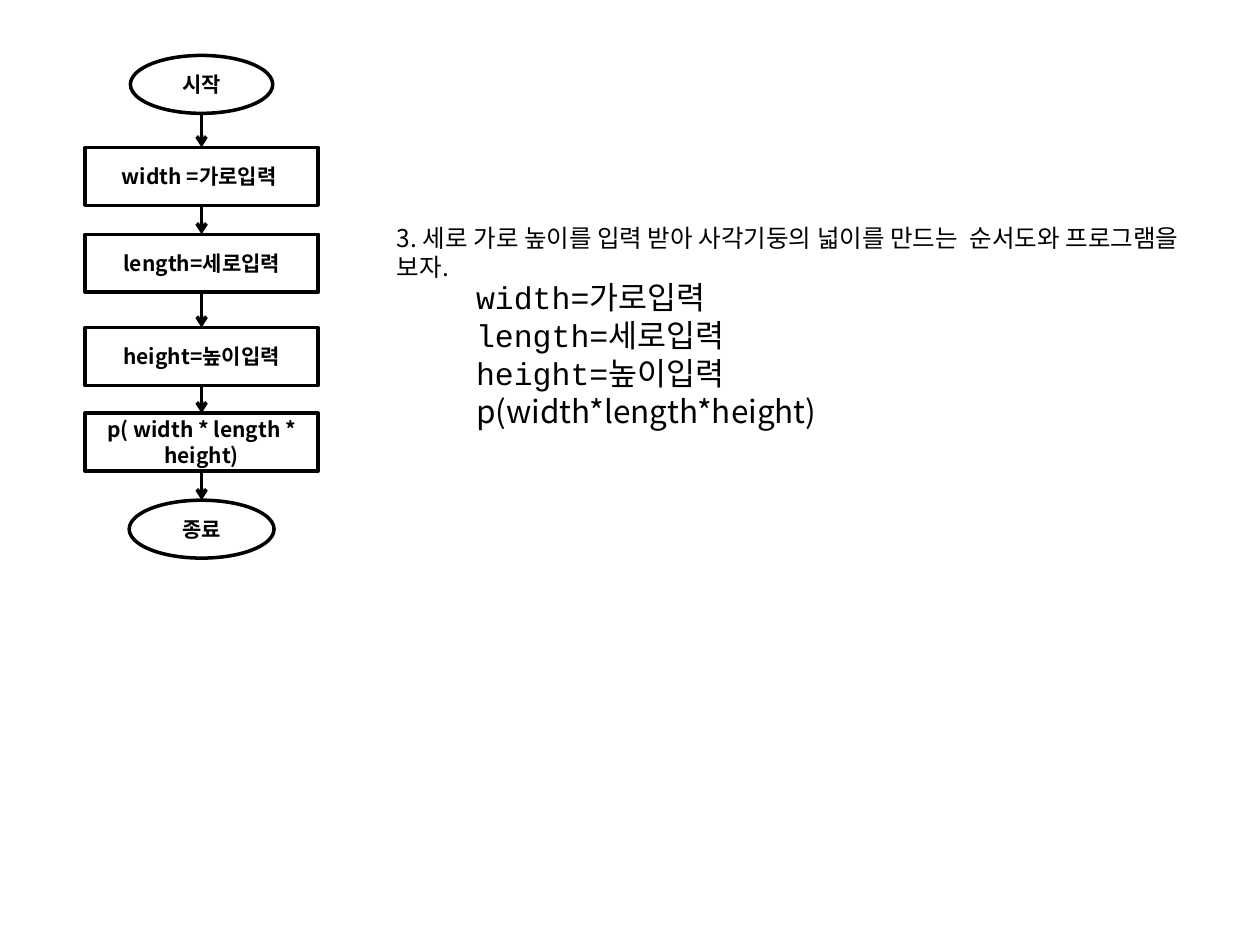
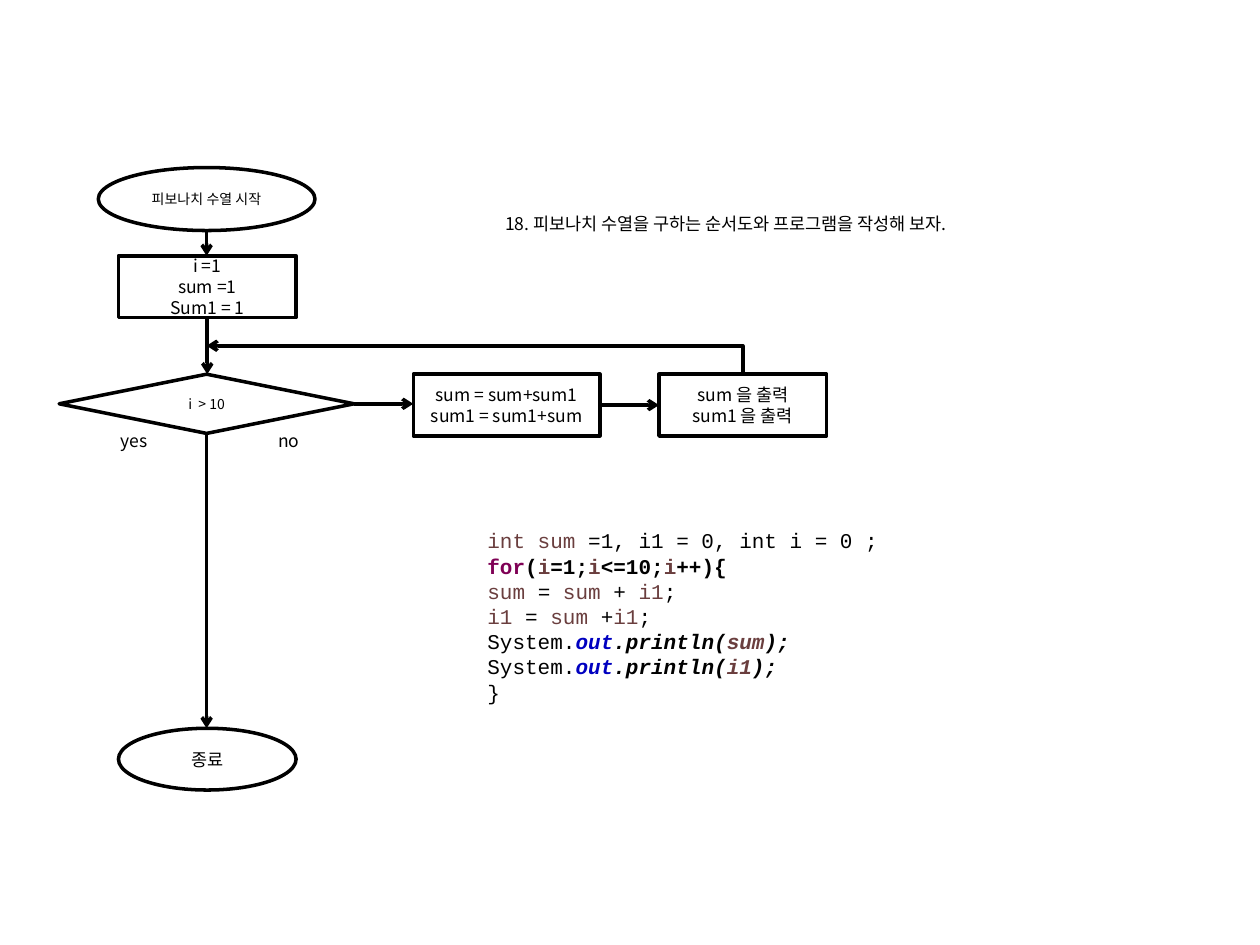
import pptx
import pptx.util
import pptx.dml.color
import pptx.enum.shapes
import pptx.enum.text
import pptx.oxml
import pptx.oxml.ns

Inches, Pt = pptx.util.Inches, pptx.util.Pt
RGB = pptx.dml.color.RGBColor
SHAPE = pptx.enum.shapes.MSO_SHAPE
CONNECTOR = pptx.enum.shapes.MSO_CONNECTOR
ALIGN = pptx.enum.text.PP_ALIGN
ANCHOR = pptx.enum.text.MSO_ANCHOR
qn = pptx.oxml.ns.qn

BLACK = RGB(0x00, 0x00, 0x00)
BROWN = RGB(0x6A, 0x3E, 0x3E)
PURPLE = RGB(0x7F, 0x00, 0x55)
BLUE = RGB(0x00, 0x00, 0xC0)
SANS, MONO = "Noto Sans CJK KR", "Courier New"
LINE = Pt(2)
TITLE_ONLY = 5

# Code styles: colour, bold, italic
PLAIN, VAR = (BLACK, False, False), (BROWN, False, False)
BOLD, BOLD_VAR = (BLACK, True, False), (BROWN, True, False)
KEYWORD, FIELD = (PURPLE, True, False), (BLUE, True, True)
CALL, ARG = (BLACK, True, True), (BROWN, True, True)

# Volume slide: a single column of steps
VOLUME_TITLE = "3. 세로 가로 높이를 입력 받아 사각기둥의 넓이를 만드는\u00a0 순서도와 프로그램을 보자."
STEP_CENTRE, STEP_HEIGHT = 1.6, 0.46
VOLUME_STEPS = [  # shape, width, top, text
    (SHAPE.OVAL, 1.13, 0.44, "시작"),
    (SHAPE.FLOWCHART_PROCESS, 1.85, 1.17, "width =가로입력 "),
    (SHAPE.FLOWCHART_PROCESS, 1.85, 1.86, "length=세로입력"),
    (SHAPE.FLOWCHART_PROCESS, 1.85, 2.6, "height=높이입력"),
    (SHAPE.FLOWCHART_PROCESS, 1.85, 3.28, "p( width * length * height)"),
    (SHAPE.OVAL, 1.15, 3.97, "종료"),
]
VOLUME_CODE = [
    ("width=가로입력", MONO),
    ("length=세로입력", MONO),
    ("height=높이입력", MONO),
    ("p(width*length*height)", SANS),
]

# Fibonacci slide: a main column with a loop to the right
FIB_TITLE = "18. 피보나치 수열을 구하는 순서도와 프로그램을 작성해 보자."
FIB_NODES = {  # shape, left, top, width, height, size, text
    "start": (SHAPE.OVAL, 0.78, 1.33, 1.72, 0.5, 8, "피보나치 수열 시작"),
    "init": (SHAPE.FLOWCHART_PROCESS, 0.94, 2.03, 1.41, 0.49, 10,
             "i =1\nsum =1\nSum1 = 1"),
    "test": (SHAPE.FLOWCHART_DECISION, 0.47, 2.97, 2.34, 0.47, 8, "i  > 10"),
    "add": (SHAPE.FLOWCHART_PROCESS, 3.28, 2.97, 1.48, 0.49, 10,
            "sum = sum+sum1\nsum1 = sum1+sum"),
    "print": (SHAPE.FLOWCHART_PROCESS, 5.23, 2.97, 1.33, 0.49, 10,
              "sum 을 출력\nsum1 을 출력"),
    "end": (SHAPE.OVAL, 0.94, 5.78, 1.41, 0.49, 10, "종료"),
}
FIB_DOWN = [("start", "init"), ("init", "test"), ("test", "end")]
FIB_RIGHT = [("test", "add"), ("add", "print")]
BRANCHES = [("yes", 0.86), ("no", 2.11)]
FIB_CODE = [
    [("int sum", VAR), (" =1, i1 = 0, int i = 0 ;", PLAIN)],
    [("for", KEYWORD), ("(", BOLD), ("i", BOLD_VAR), ("=1;", BOLD),
     ("i", BOLD_VAR), ("<=10;", BOLD), ("i", BOLD_VAR), ("++){", BOLD)],
    [("sum", VAR), (" = ", PLAIN), ("sum", VAR), (" + ", PLAIN),
     ("i1", VAR), (";", PLAIN)],
    [("i1", VAR), (" = ", PLAIN), ("sum", VAR), (" +", PLAIN),
     ("i1", VAR), (";", PLAIN)],
    *[[("System.", PLAIN), ("out", FIELD), (".println(", CALL),
       (name, ARG), (");", CALL)] for name in ("sum", "i1")],
    [("}", PLAIN)],
]


def style_run(r, size, font=SANS, style=PLAIN):
    """Set size, colour, weight and the Latin and Korean fonts of a run."""
    r.font.size, r.font.name = Pt(size), font
    r.font.color.rgb, r.font.bold, r.font.italic = style
    ea = pptx.oxml.parse_xml(
        f'<a:ea {pptx.oxml.ns.nsdecls("a")} typeface="{SANS}"/>')
    r.font._element.find(qn("a:latin")).addnext(ea)


def fill_text(tf, lines, size, align=ALIGN.LEFT):
    """Write lines, each a list of (text, font, style) runs."""
    tf.word_wrap = True
    for i, line in enumerate(lines):
        p = tf.add_paragraph() if i else tf.paragraphs[0]
        p.alignment = align
        for text, font, style in line:
            r = p.add_run()
            r.text = text
            style_run(r, size, font, style)


def add_text(s, box, lines, size):
    """Add a wrapping text box."""
    tb = s.shapes.add_textbox(*map(Inches, box))
    fill_text(tb.text_frame, lines, size)


def add_slide(prs, title, box, size):
    """Add a slide whose title placeholder holds the exercise."""
    s = prs.slides.add_slide(prs.slide_layouts[TITLE_ONLY])
    sp = s.shapes.title
    sp.left, sp.top, sp.width, sp.height = map(Inches, box)
    tf = sp.text_frame
    tf.auto_size = pptx.enum.text.MSO_AUTO_SIZE.NONE
    tf.vertical_anchor = ANCHOR.TOP
    fill_text(tf, [[(title, SANS, PLAIN)]], size)
    return s


def add_node(s, kind, box, text, size, style=PLAIN):
    """Add an outlined flowchart node with centred text."""
    sp = s.shapes.add_shape(kind, *map(Inches, box))
    sp.shadow.inherit = False
    sp.fill.background()
    sp.line.color.rgb, sp.line.width = BLACK, LINE
    sp.text_frame.vertical_anchor = ANCHOR.MIDDLE
    lines = [[(line, SANS, style)] for line in text.split("\n")]
    fill_text(sp.text_frame, lines, size, ALIGN.CENTER)
    return sp


def add_arrow(s, x1, y1, x2, y2, kind=CONNECTOR.STRAIGHT):
    """Add a black connector with an open arrowhead at its end."""
    c = s.shapes.add_connector(kind, *map(int, (x1, y1, x2, y2)))
    c.line.color.rgb, c.line.width = BLACK, LINE
    ln = c.line._get_or_add_ln()
    ln.append(ln.makeelement(qn("a:tailEnd"), {"type": "arrow"}))
    ln.addnext(ln.makeelement(qn("a:effectLst"), {}))
    return c


def arrow_down(s, a, b):
    """Join the bottom of node a to the top of node b."""
    x = a.left + a.width / 2
    add_arrow(s, x, a.top + a.height, x, b.top)


def arrow_right(s, a, b):
    """Join the right side of node a to the left side of node b."""
    y = a.top + a.height / 2
    add_arrow(s, a.left + a.width, y, b.left, y)


def arrow_back(s, a, above, below):
    """Lead from the top of node a up and left to the line between two nodes."""
    x1, x2 = a.left + a.width / 2, below.left + below.width / 2
    y1, y2 = a.top, (above.top + above.height + below.top) / 2
    cx, cy, rise, run = (x1 + x2) / 2, (y1 + y2) / 2, y1 - y2, x1 - x2
    # One-corner elbow, laid out upright and then turned by 270 degrees
    c = add_arrow(s, cx - rise / 2, cy + run / 2, cx + rise / 2, cy - run / 2,
                  CONNECTOR.ELBOW)
    c._element.spPr.find(qn("a:prstGeom")).set("prst", "bentConnector2")
    c._element.spPr.find(qn("a:xfrm")).set("rot", str(270 * 60000))


def volume_slide(prs):
    """Build the flowchart and program for the volume of a box."""
    s = add_slide(prs, VOLUME_TITLE, (3.05, 1.72, 6.48, 0.57), 14)
    nodes = [add_node(s, kind, (STEP_CENTRE - w / 2, top, w, STEP_HEIGHT),
                      text, 12, BOLD)
             for kind, w, top, text in VOLUME_STEPS]
    for a, b in zip(nodes, nodes[1:]):
        arrow_down(s, a, b)
    lines = [[(text, font, PLAIN)] for text, font in VOLUME_CODE]
    add_text(s, (3.68, 2.16, 5, 1.31), lines, 18)


def fibonacci_slide(prs):
    """Build the flowchart and program for the Fibonacci sequence."""
    s = add_slide(prs, FIB_TITLE, (3.91, 1.64, 5, 0.27), 10)
    nodes = {name: add_node(s, kind, box, text, size)
             for name, (kind, *box, size, text) in FIB_NODES.items()}
    for a, b in FIB_DOWN:
        arrow_down(s, nodes[a], nodes[b])
    for a, b in FIB_RIGHT:
        arrow_right(s, nodes[a], nodes[b])
    arrow_back(s, nodes["print"], nodes["init"], nodes["test"])
    for text, left in BRANCHES:
        add_text(s, (left, 3.36, 0.7, 0.27), [[(text, SANS, PLAIN)]], 10)
    lines = [[(text, MONO, style) for text, style in line] for line in FIB_CODE]
    add_text(s, (3.77, 4.14, 5, 1.51), lines, 12)


prs = pptx.Presentation()
prs.slide_width, prs.slide_height = Inches(10), Inches(7.5)
volume_slide(prs)
fibonacci_slide(prs)
prs.save("out.pptx")
